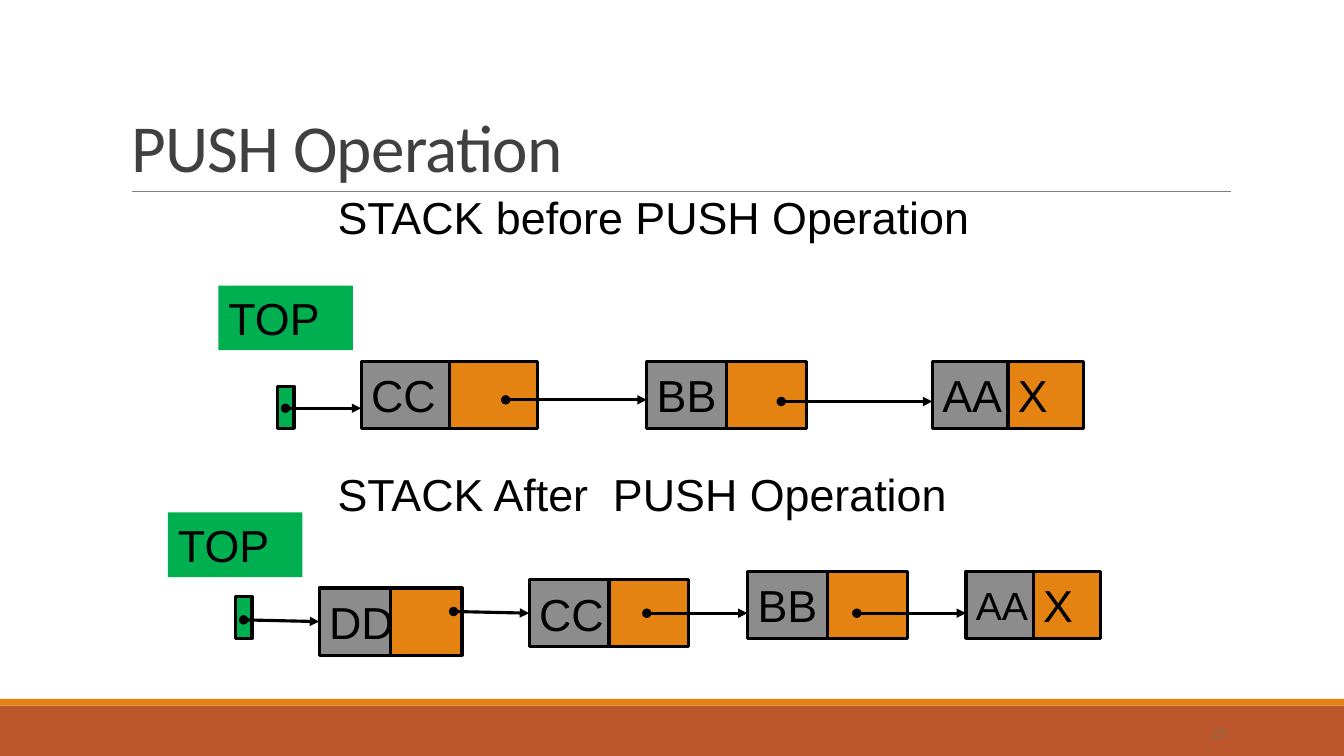
from dataclasses import dataclass

from lxml import etree
from pptx import Presentation
from pptx.dml.color import RGBColor
from pptx.enum.shapes import MSO_CONNECTOR, MSO_SHAPE
from pptx.enum.text import MSO_ANCHOR, PP_ALIGN
from pptx.oxml.ns import qn
from pptx.util import Inches, Pt

RECTANGLE = MSO_SHAPE.RECTANGLE
STRAIGHT = MSO_CONNECTOR.STRAIGHT
LEFT, RIGHT = PP_ALIGN.LEFT, PP_ALIGN.RIGHT
TOP, MIDDLE, BOTTOM = MSO_ANCHOR.TOP, MSO_ANCHOR.MIDDLE, MSO_ANCHOR.BOTTOM
LEFT_SIDE = 1

# Places are in grid units, twelve to the inch.
TITLE = "PUSH Operation"
PAGE_NUMBER = "25"
# Nodes: data, link text, column, row, half width, type size, start of link arrow
STACKS = [
    dict(
        heading="STACK before PUSH Operation", heading_at=(39, 22),
        label="TOP", label_at=(26, 34), pointer_at=(33, 46), arrow_from=(34, 48.6),
        nodes=[
            ("CC", "", 43, 43, 10.5, 32, (60.2, 47.6)),
            ("BB", "", 77, 43, 9.5, 32, (93, 47.8)),
            ("AA", "X", 111, 43, 9, 32, None),
        ],
    ),
    dict(
        heading="STACK After  PUSH Operation", heading_at=(39, 55),
        label="TOP", label_at=(20, 61), pointer_at=(28, 71), arrow_from=(29, 73.8),
        nodes=[
            ("DD", "", 38, 70, 8.5, 32, (54, 72.8)),
            ("CC", "", 63, 69, 9.5, 32, (77, 73)),
            ("BB", "", 89, 68, 9.5, 32, (102, 73)),
            ("AA", "X", 115, 68, 8, 28, None),
        ],
    ),
]
NODE_HEIGHT = 8
POINTER_SIZE = (2, 5)
LABEL_SIZE = (16, 7.7)
HEADING_SIZE = (86, 7.7)
JOIN_TOLERANCE = 0.3


@dataclass(frozen=True)
class Theme:
    data: str = "8C8C8C"
    link: str = "E48312"
    top: str = "00B050"
    footer: str = "BD582C"
    rule: str = "808080"
    title: str = "404040"
    number: str = "8C6A50"
    ink: str = "000000"
    title_font: str = "Calibri"
    body_font: str = "Arial"
    title_size: float = 48
    body_size: float = 32
    number_size: float = 10.5
    line_width: float = 2.25
    rule_width: float = 0.5


THEME = Theme()


def rgb(value):
    return RGBColor.from_string(value)


def units(*values):
    return [Inches(value / 12) for value in values]


def write(frame, text, size, font=THEME.body_font, color=THEME.ink,
          anchor=TOP, align=LEFT, wrap=True):
    frame.word_wrap = wrap
    frame.vertical_anchor = anchor
    paragraph = frame.paragraphs[0]
    paragraph.alignment = align
    run = paragraph.add_run()
    run.text = text
    run.font.name = font
    run.font.size = Pt(size)
    run.font.color.rgb = rgb(color)
    return paragraph, run


def add_box(slide, place, fill, outlined=True):
    box = slide.shapes.add_shape(RECTANGLE, *units(*place))
    box.shadow.inherit = False
    box.fill.solid()
    box.fill.fore_color.rgb = rgb(fill)
    if outlined:
        box.line.color.rgb = rgb(THEME.ink)
        box.line.width = Pt(THEME.line_width)
    else:
        box.line.fill.background()
    return box


def add_line(slide, start, end, color, width):
    line = slide.shapes.add_connector(STRAIGHT, *units(*start, *end))
    line.line.color.rgb = rgb(color)
    line.line.width = Pt(width)
    etree.SubElement(line._element.spPr, qn("a:effectLst"))
    return line


def add_arrow(slide, start, node, target):
    """Point from a dot at start to the left side of the node's data cell."""
    column, row = node[2:4]
    middle = row + NODE_HEIGHT / 2
    arrow = add_line(slide, start, (column, start[1]), THEME.ink, THEME.line_width)
    if abs(middle - start[1]) <= JOIN_TOLERANCE:
        arrow.end_connect(target, LEFT_SIDE)
    outline = arrow.line._get_or_add_ln()
    etree.SubElement(outline, qn("a:headEnd"), type="oval")
    etree.SubElement(outline, qn("a:tailEnd"), type="triangle")


def add_node(slide, node):
    data, link, column, row, width, size, _ = node
    link_box = add_box(slide, (column + width, row, width, NODE_HEIGHT), THEME.link)
    data_box = add_box(slide, (column, row, width, NODE_HEIGHT), THEME.data)
    write(data_box.text_frame, data, size, anchor=MIDDLE, wrap=False)
    if link:
        write(link_box.text_frame, link, THEME.body_size, anchor=MIDDLE, wrap=False)
    return data_box


def add_stack(slide, stack):
    nodes = stack["nodes"]
    add_box(slide, (*stack["pointer_at"], *POINTER_SIZE), THEME.top)
    cells = [add_node(slide, node) for node in nodes]
    starts = [stack["arrow_from"]] + [node[-1] for node in nodes[:-1]]
    for start, node, cell in zip(starts, nodes, cells):
        add_arrow(slide, start, node, cell)
    label = add_box(slide, (*stack["label_at"], *LABEL_SIZE), THEME.top, outlined=False)
    write(label.text_frame, stack["label"], THEME.body_size)
    heading = slide.shapes.add_textbox(*units(*stack["heading_at"], *HEADING_SIZE))
    write(heading.text_frame, stack["heading"], THEME.body_size)


def add_frame(slide):
    """Draw the footer bands, the rule, the title and the page number."""
    add_box(slide, (0, 84, 160, 6), THEME.footer, outlined=False)
    add_box(slide, (0, 83.2, 160, 0.8), THEME.link, outlined=False)
    add_line(slide, (15.75, 22.8), (146.5, 22.8), THEME.rule, THEME.rule_width)
    title = slide.shapes.title
    title.left, title.top, title.width, title.height = units(14.4, 3.75, 132, 19)
    paragraph, run = write(title.text_frame, TITLE, THEME.title_size,
                           THEME.title_font, THEME.title, BOTTOM)
    paragraph.line_spacing = 0.85
    run.font._element.set("spc", "-50")
    number = slide.shapes.add_textbox(*units(131, 85, 16.2, 4.4))
    write(number.text_frame, PAGE_NUMBER, THEME.number_size,
          THEME.title_font, THEME.number, MIDDLE, RIGHT)


def main():
    deck = Presentation()
    deck.slide_width, deck.slide_height = units(160, 90)
    slide = deck.slides.add_slide(deck.slide_layouts[5])
    add_frame(slide)
    for stack in STACKS:
        add_stack(slide, stack)
    deck.save("out.pptx")


if __name__ == "__main__":
    main()
